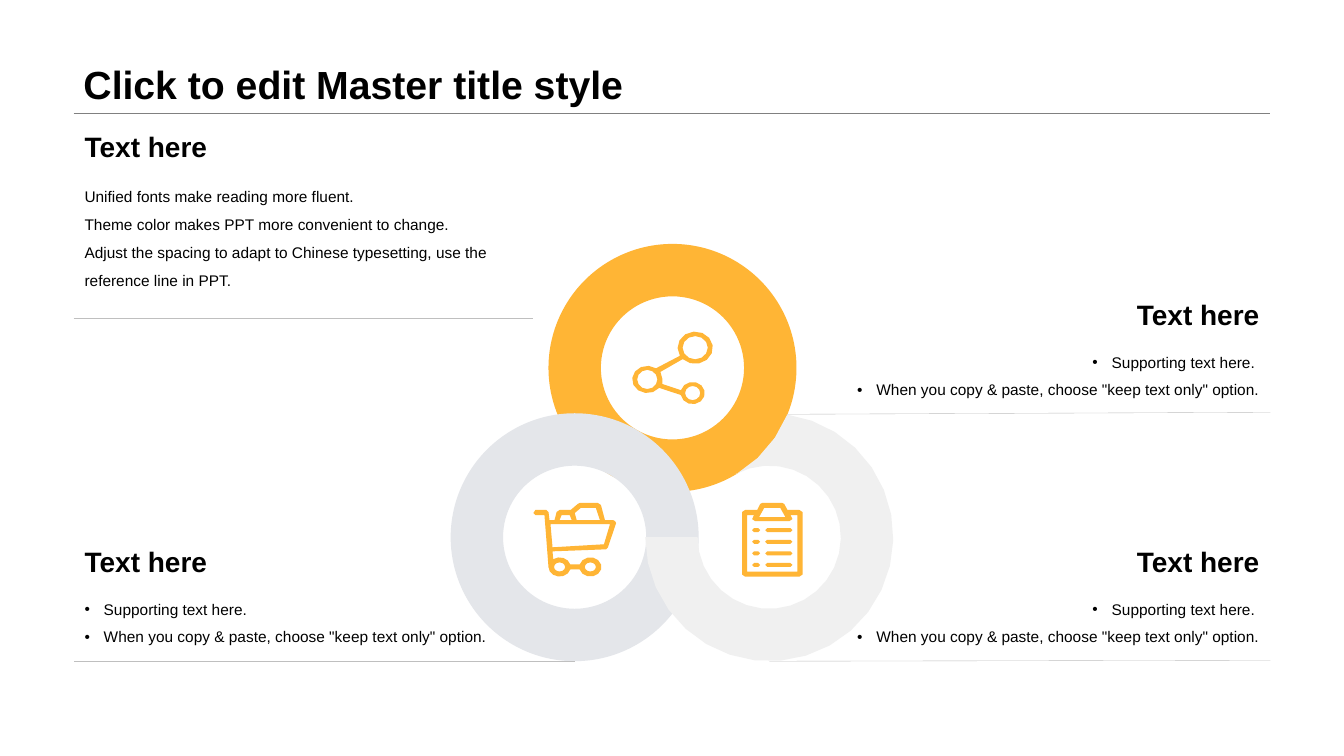
from math import cos, radians, sin

from lxml import etree
from pptx import Presentation
from pptx.dml.color import RGBColor
from pptx.enum.shapes import MSO_CONNECTOR, MSO_SHAPE
from pptx.enum.text import MSO_ANCHOR, PP_ALIGN
from pptx.oxml.ns import qn
from pptx.util import Inches, Pt

ORANGE, GRAY, PALE = "FFB535", "E4E6EA", "F0F0F0"
BLACK, RULE, TITLE_RULE = "000000", "BFBFBF", "808080"
OUTER, INNER = 1.23, 0.71
TOP_CENTER, LEFT_CENTER, RIGHT_CENTER = (6.67, 3.65), (5.7, 5.33), (7.63, 5.33)
PASTE_TIP = 'When you copy & paste, choose "keep text only" option.'


def color(hex_value):
    return RGBColor.from_string(hex_value)


def paint(shape, fill):
    shape.fill.solid()
    shape.fill.fore_color.rgb = color(fill)
    shape.line.fill.background()
    shape.shadow.inherit = False


def arc(center, radius_x, radius_y, start=0, end=360, step=30):
    """Points of an elliptical arc; angles in degrees, clockwise from the right."""
    count = max(1, round(abs(end - start) / step))
    angles = [radians(start + (end - start) * i / count) for i in range(count + 1)]
    return [(center[0] + radius_x * cos(a), center[1] + radius_y * sin(a))
            for a in angles]


def add_outline(slide, contours, fill):
    """One freeform; contours inside others become holes."""
    contours = [[(Inches(x), Inches(y)) for x, y in contour] for contour in contours]
    builder = slide.shapes.build_freeform(*contours[0][0])
    builder.add_line_segments(contours[0][1:], close=True)
    for contour in contours[1:]:
        builder.move_to(*contour[0])
        builder.add_line_segments(contour[1:], close=True)
    paint(builder.convert_to_shape(), fill)


def add_ring(slide, center, fill):
    shape = slide.shapes.add_shape(
        MSO_SHAPE.DONUT, Inches(center[0] - OUTER), Inches(center[1] - OUTER),
        Inches(2 * OUTER), Inches(2 * OUTER))
    shape.adjustments[0] = (OUTER - INNER) / (2 * OUTER)
    paint(shape, fill)


def add_rule(slide, start, end, line_color=RULE):
    connector = slide.shapes.add_connector(
        MSO_CONNECTOR.STRAIGHT, *(Inches(value) for value in start + end))
    connector.line.color.rgb = color(line_color)
    connector.line.width = Pt(0.25)
    etree.SubElement(connector._element.spPr, qn("a:effectLst"))


def add_text(slide, box, lines, size, bold=False, align=PP_ALIGN.LEFT,
             anchor=MSO_ANCHOR.TOP, spacing=1.0, bullets=False):
    frame = slide.shapes.add_textbox(*(Inches(value) for value in box)).text_frame
    frame.word_wrap = True
    frame.vertical_anchor = anchor
    for index, line in enumerate(lines):
        paragraph = frame.paragraphs[0] if index == 0 else frame.add_paragraph()
        paragraph.text = line
        paragraph.alignment = align
        paragraph.line_spacing = spacing
        if bullets:
            properties = paragraph._p.get_or_add_pPr()
            properties.set("marL", str(Inches(0.19)))
            properties.set("indent", str(-Inches(0.19)))
            etree.SubElement(properties, qn("a:buFont")).set("typeface", "Arial")
            etree.SubElement(properties, qn("a:buChar")).set("char", "•")
        paragraph.font.name = "Arial"
        paragraph.font.size = Pt(size)
        paragraph.font.bold = bold
        paragraph.font.color.rgb = color(BLACK)


def add_text_block(slide, left, top, width, height, lines, align=PP_ALIGN.LEFT,
                   anchor=MSO_ANCHOR.MIDDLE, bullets=True):
    """A heading with its body text below."""
    add_text(slide, (left, top, width, 0.48), ["Text here"], 20, bold=True,
             align=align, anchor=anchor)
    add_text(slide, (left, top + 0.48, width, height), lines, 11,
             align=align, spacing=1.5, bullets=bullets)


def add_rings(slide):
    add_ring(slide, TOP_CENTER, ORANGE)
    add_ring(slide, LEFT_CENTER, GRAY)
    # The pale ring tucks under the orange one and over the lower gray one
    add_outline(slide, [
        arc(RIGHT_CENTER, OUTER, OUTER, -82, 180, step=12)
        + arc(RIGHT_CENTER, INNER, INNER, 180, -118, step=12)
        + arc(TOP_CENTER, OUTER, OUTER, 59, 22, step=12)], PALE)


def add_share_icon(slide):
    left, top, low = (6.42, 3.765), (6.895, 3.45), (6.87, 3.9)
    outline = (arc(left, 0.15, 0.135, 38, 305) + arc(top, 0.175, 0.16, 150, 495)
               + [(6.55, 3.69), (6.57, 3.76), (6.57, 3.81)]
               + arc(low, 0.12, 0.11, 195, 530))
    add_outline(slide, [outline, arc(left, 0.1, 0.095), arc(top, 0.125, 0.115),
                        arc(low, 0.075, 0.07)], ORANGE)


def add_cart_icon(slide):
    rear, front = (5.55, 5.625), (5.855, 5.625)
    outline = (
        [(5.29, 5.09), (5.31, 5.11), (5.4, 5.11), (5.44, 5.63)]
        + arc(rear, 0.11, 0.095, 180, 15) + arc(front, 0.11, 0.095, 165, -165)
        + arc(rear, 0.11, 0.095, -15, -125)
        + [(5.48, 5.47), (6.01, 5.45), (6.03, 5.43), (6.11, 5.19), (6.1, 5.17),
           (6.08, 5.16), (6, 5.16), (5.96, 5.01), (5.93, 4.99), (5.75, 4.99),
           (5.73, 5), (5.66, 5.06), (5.55, 5.06), (5.52, 5.08), (5.5, 5.16),
           (5.45, 5.16), (5.44, 5.08), (5.42, 5.06), (5.31, 5.06)])
    large_load = [(5.76, 5.04), (5.91, 5.04), (5.95, 5.16), (5.72, 5.16), (5.7, 5.09)]
    small_load = [(5.57, 5.11), (5.65, 5.11), (5.67, 5.16), (5.55, 5.16)]
    basket = [(5.46, 5.2), (6.05, 5.2), (5.99, 5.4), (5.48, 5.43)]
    wheels = [arc(wheel, 0.055, 0.045) for wheel in (rear, front)]
    add_outline(slide, [outline, large_load, small_load, basket] + wheels, ORANGE)


def add_clipboard_icon(slide):
    board = [(7.36, 5.08), (7.39, 5.06), (7.51, 5.06), (7.54, 5), (7.56, 4.99),
             (7.76, 4.99), (7.78, 5), (7.81, 5.06), (7.93, 5.06), (7.96, 5.08),
             (7.96, 5.7), (7.93, 5.72), (7.39, 5.72), (7.36, 5.7)]
    sheet = [(7.41, 5.11), (7.41, 5.67), (7.91, 5.67), (7.91, 5.11), (7.84, 5.11),
             (7.86, 5.15), (7.83, 5.17), (7.49, 5.17), (7.46, 5.15), (7.48, 5.11)]
    clip = [(7.58, 5.04), (7.53, 5.13), (7.79, 5.13), (7.74, 5.04)]
    cap = 0.02
    dashes = []
    for row in range(4):
        y = 5.26 + row * 0.115
        for left, right in ((7.46, 7.54), (7.59, 7.86)):
            dashes.append(arc((left + cap, y), cap, cap, 90, 270, step=90)
                          + arc((right - cap, y), cap, cap, -90, 90, step=90))
    add_outline(slide, [board, sheet, clip] + dashes, ORANGE)


def main():
    presentation = Presentation()
    presentation.slide_width = Inches(13.33)
    presentation.slide_height = Inches(7.5)
    slide = presentation.slides.add_slide(presentation.slide_layouts[6])

    # Title
    add_rule(slide, (0.73, 1.12), (12.6, 1.12), TITLE_RULE)
    add_text(slide, (0.73, 0, 11.87, 1.12), ["Click to edit Master title style"], 28,
             bold=True, anchor=MSO_ANCHOR.BOTTOM, spacing=0.9)

    # Rings and icons
    add_rings(slide)
    add_share_icon(slide)
    add_cart_icon(slide)
    add_clipboard_icon(slide)

    # Rules under the text blocks
    add_rule(slide, (7.81, 4.11), (12.6, 4.09))
    add_rule(slide, (7.63, 6.56), (12.6, 6.55))
    add_rule(slide, (5.7, 6.56), (0.73, 6.56))

    # Text blocks
    add_text_block(slide, 0.74, 5.33, 5.88, 0.76, ["Supporting text here.", PASTE_TIP])
    for top in (5.33, 2.88):
        add_text_block(slide, 6.71, top, 5.88, 0.76,
                       ["Supporting text here. ", PASTE_TIP], align=PP_ALIGN.RIGHT)
    add_text_block(slide, 0.74, 1.24, 4.69, 1.59, [
        "Unified fonts make reading more fluent.",
        "Theme color makes PPT more convenient to change.",
        "Adjust the spacing to adapt to Chinese typesetting, "
        "use the reference line in PPT."], anchor=MSO_ANCHOR.TOP, bullets=False)
    add_rule(slide, (0.73, 3.16), (5.29, 3.16))

    presentation.save("out.pptx")


if __name__ == "__main__":
    main()
